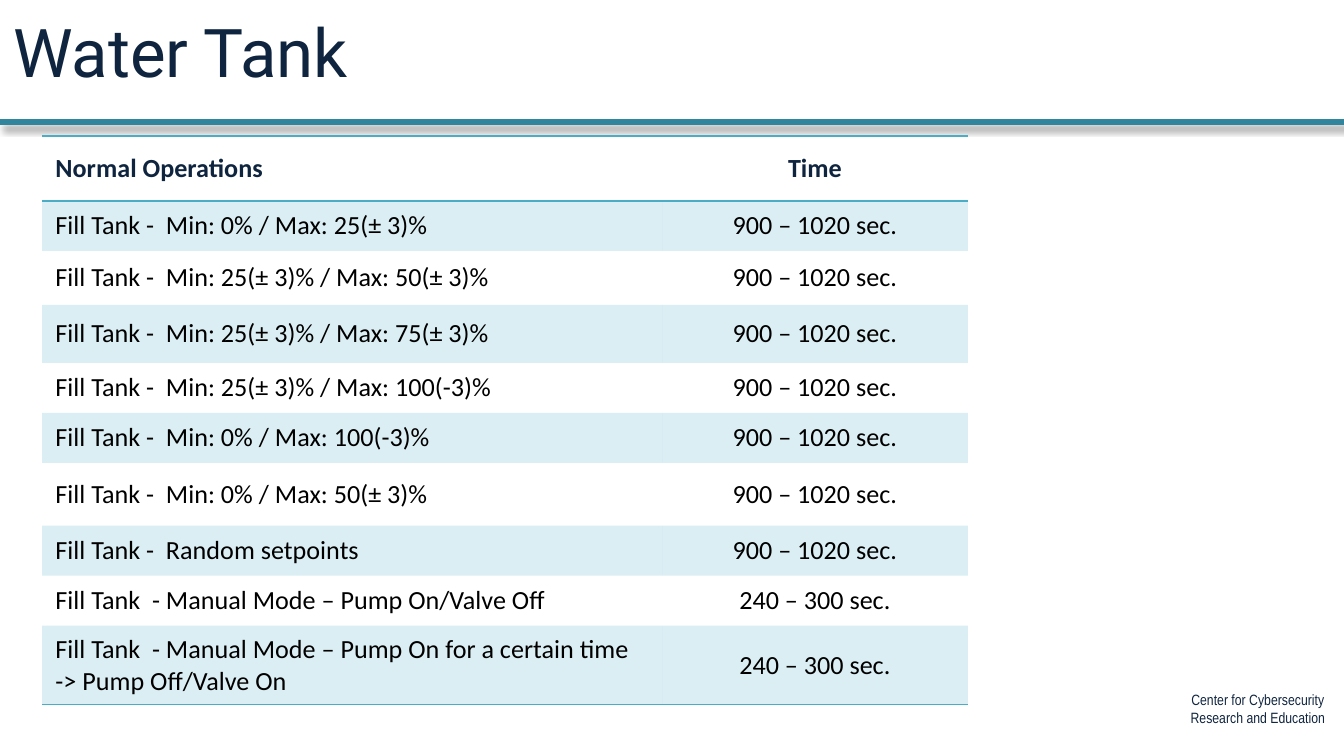
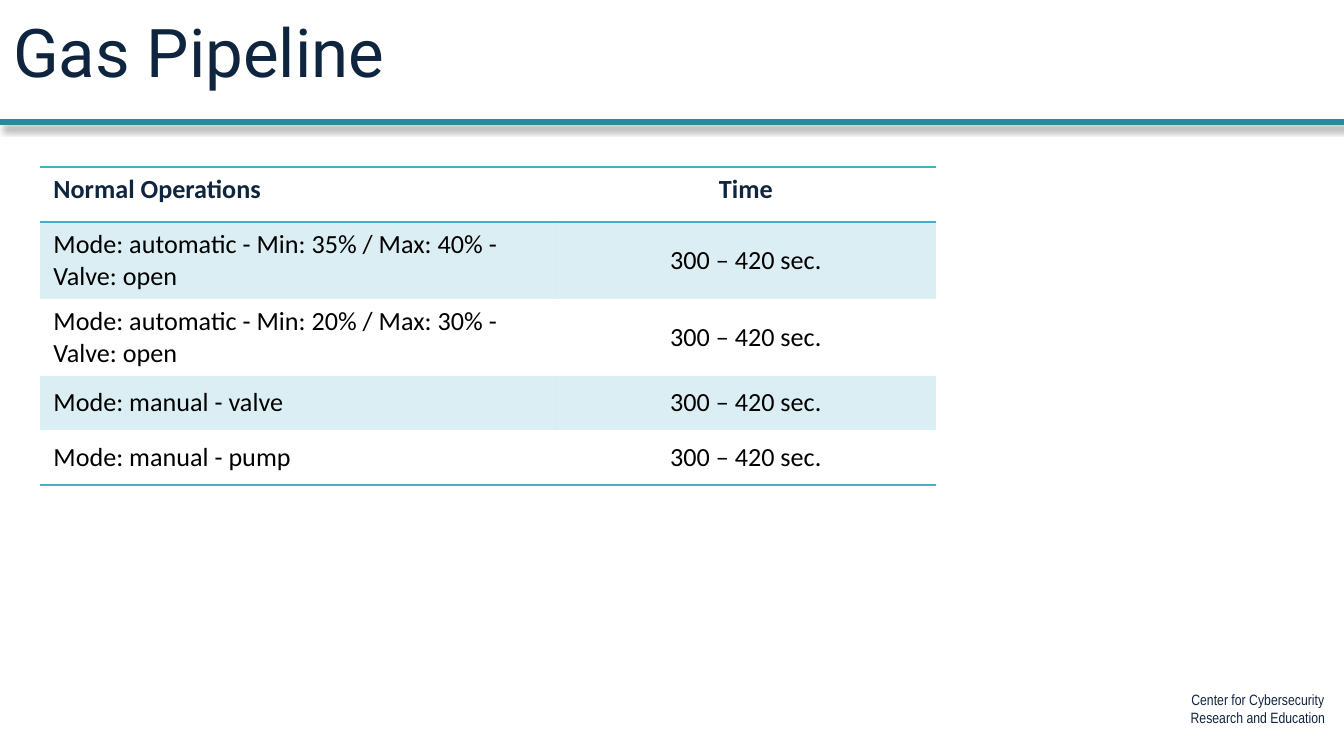
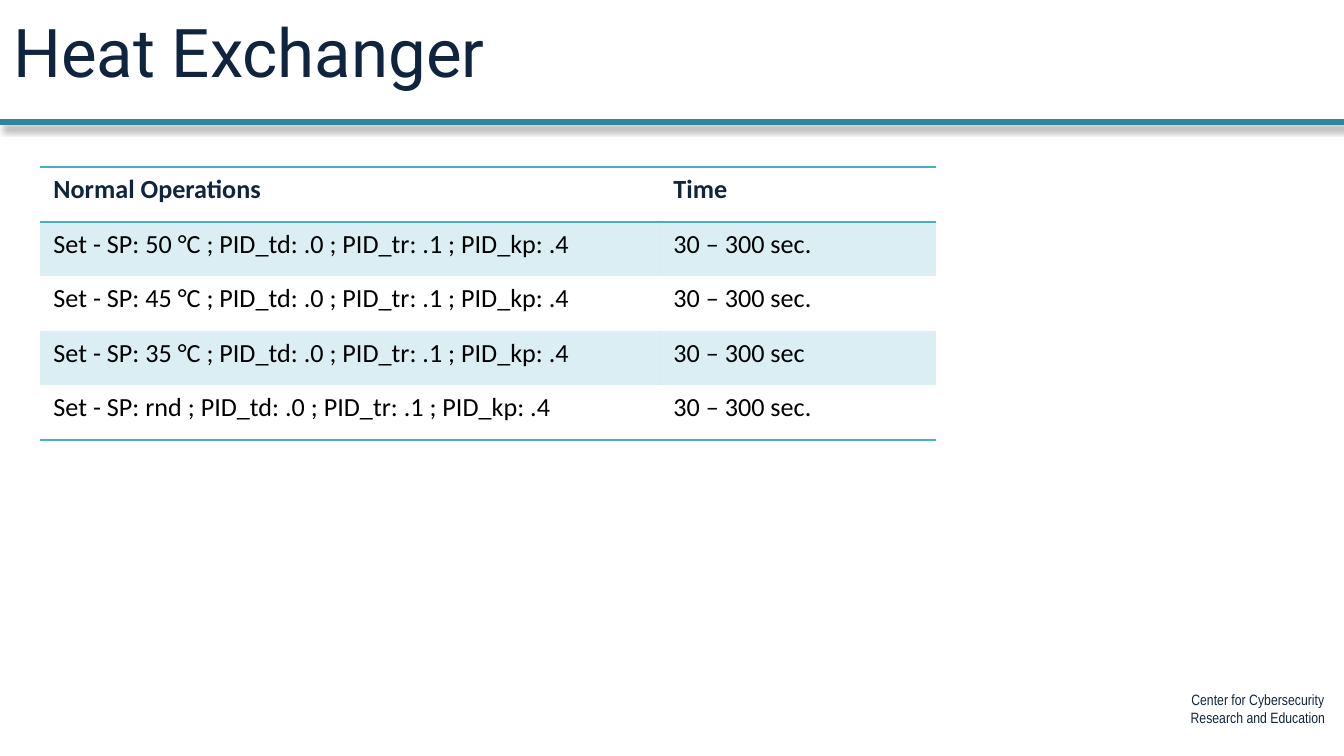
from lxml import etree
from pptx import Presentation
from pptx import util as u
from pptx.dml.color import RGBColor
from pptx.enum import shapes, text
from pptx.oxml.ns import qn

SCALE = 914400 / 134.4
WIDTH, HEIGHT = 1344, 756
COLOURS = {"title": "0F243E", "footer": "10253F", "body": "000000",
           "rule": "31859C", "accent": "4BACC6", "shadow": "000000"}
LEFT, CENTER = text.PP_ALIGN.LEFT, text.PP_ALIGN.CENTER
TOP, MIDDLE = text.MSO_ANCHOR.TOP, text.MSO_ANCHOR.MIDDLE
HEADER = ("Normal Operations", "Time")
FOOTER = "Center for Cybersecurity\nResearch and Education"


def px(length):
    """Turn px into EMU."""
    return u.Emu(round(length * SCALE))


def child(parent, tag, **attributes):
    """Append an XML element and return it."""
    element = etree.SubElement(parent, qn(tag))
    for name, value in attributes.items():
        element.set(name, str(value))
    return element


class Report:
    """Holds the shared style and the current slide."""

    def __init__(self):
        """Start an empty deck."""
        self.deck = Presentation()
        self.deck.slide_width, self.deck.slide_height = px(WIDTH), px(HEIGHT)
        self.page = None

    def slide(self, title, title_width):
        """Add a slide with its rule, title and footer."""
        self.page = self.deck.slides.add_slide(self.deck.slide_layouts[6])
        self.rule(122)
        self.label(title, (0, 4, title_width, 95), "Roboto", 36, "title", LEFT)
        self.label(FOOTER, (1172, 684, 172, 50), "Arial Narrow", 8, "footer", CENTER)

    def rule(self, y):
        """Draw the shadowed line across the slide."""
        line = self.page.shapes.add_connector(
            shapes.MSO_CONNECTOR.STRAIGHT, 0, px(y), px(WIDTH), px(y))
        line.line.color.rgb = RGBColor.from_string(COLOURS["rule"])
        line.line.width = u.Pt(3)
        effects = child(line._element.spPr, "a:effectLst")
        shadow = child(effects, "a:outerShdw", blurRad=u.Pt(4), dist=u.Pt(3),
                       dir=45 * 60000, algn="tl", rotWithShape=0)
        colour = child(shadow, "a:srgbClr", val=COLOURS["shadow"])
        child(colour, "a:alpha", val=40000)

    def fill_text(self, frame, words, font, size, colour, align, bold=False):
        """Put one paragraph in the frame for each line of words."""
        for index, line in enumerate(words.split("\n")):
            para = frame.add_paragraph() if index else frame.paragraphs[0]
            para.alignment = align
            span = para.add_run()
            span.text = line
            span.font.name, span.font.size = font, u.Pt(size)
            span.font.bold = bold
            span.font.color.rgb = RGBColor.from_string(COLOURS[colour])

    def label(self, words, place, font, size, colour, align):
        """Add a text box that fits its text."""
        box = self.page.shapes.add_textbox(*map(px, place))
        box.text_frame.word_wrap = False
        box.text_frame.auto_size = text.MSO_AUTO_SIZE.SHAPE_TO_FIT_TEXT
        self.fill_text(box.text_frame, words, font, size, colour, align)

    def borders(self, cell, ruled):
        """Draw the ruled edges of a cell and clear the others."""
        properties = cell._tc.get_or_add_tcPr()
        for edge in ("L", "R", "T", "B"):
            line = child(properties, f"a:ln{edge}", w=u.Pt(1))
            if edge in ruled:
                child(child(line, "a:solidFill"), "a:srgbClr", val=COLOURS["accent"])
            else:
                child(line, "a:noFill")

    def band(self, cell):
        """Tint a cell with the translucent accent."""
        cell.fill.solid()
        cell.fill.fore_color.rgb = RGBColor.from_string(COLOURS["accent"])
        colour = cell._tc.tcPr.find(f"{qn('a:solidFill')}/{qn('a:srgbClr')}")
        child(colour, "a:alpha", val=20000)

    def table(self, left, top, columns, heights, rows,
              time_align=CENTER, header_anchor=TOP, body_anchor=MIDDLE):
        """Add a banded table of operations and their times."""
        rows = [HEADER, *rows]
        table = self.page.shapes.add_table(
            len(rows), len(columns), px(left), px(top),
            px(sum(columns)), px(sum(heights))).table
        table.first_row = table.horz_banding = False
        for column, width in zip(table.columns, columns):
            column.width = px(width)
        for r, (height, values) in enumerate(zip(heights, rows)):
            table.rows[r].height = px(height)
            header = r == 0
            ruled = ("TB" if header else "T" if r == 1
                     else "B" if r == len(rows) - 1 else "")
            for c, (value, align) in enumerate(zip(values, (LEFT, time_align))):
                cell = table.cell(r, c)
                cell.vertical_anchor = header_anchor if header else body_anchor
                self.borders(cell, ruled)
                if r % 2:
                    self.band(cell)
                else:
                    cell.fill.background()
                self.fill_text(cell.text_frame, value, "Calibri", 14,
                               "title" if header else "body", align, header)


def main():
    """Build the three slides."""
    report = Report()

    report.slide("Water Tank", 380)
    setpoints = ("Min: 0% / Max: 25(± 3)%", "Min: 25(± 3)% / Max: 50(± 3)%",
                 "Min: 25(± 3)% / Max: 75(± 3)%", "Min: 25(± 3)% / Max: 100(-3)%",
                 "Min: 0% / Max: 100(-3)%", "Min: 0% / Max: 50(± 3)%",
                 "Random setpoints")
    manual = ("Pump On/Valve Off",
              "Pump On for a certain time\n-> Pump Off/Valve On")
    report.table(
        42, 136, (620, 306), (65, 50, 54, 58, 50, 50, 63, 50, 50, 79),
        [(f"Fill Tank -  {setpoint}", "900 – 1020 sec.") for setpoint in setpoints]
        + [(f"Fill Tank  - Manual Mode – {action}", "240 – 300 sec.")
           for action in manual],
        header_anchor=MIDDLE)

    report.slide("Gas Pipeline", 403)
    modes = ("automatic - Min: 35% / Max: 40% - Valve: open",
             "automatic - Min: 20% / Max: 30% - Valve: open",
             "manual - valve", "manual - pump")
    report.table(40, 167, (516, 380), (55, 77, 77, 54, 55),
                 [(f"Mode: {mode}", "300 – 420 sec.") for mode in modes])

    report.slide("Heat Exchanger", 509)
    targets = (("50 °C", "sec."), ("45 °C", "sec."), ("35 °C", "sec"), ("rnd", "sec."))
    report.table(
        40, 167, (620, 276), (55, 54, 55, 54, 55),
        [(f"Set - SP: {target} ; PID_td: .0 ; PID_tr: .1 ; PID_kp: .4",
          f"30 – 300 {unit}") for target, unit in targets],
        time_align=LEFT, body_anchor=TOP)

    report.deck.save("out.pptx")


if __name__ == "__main__":
    main()
